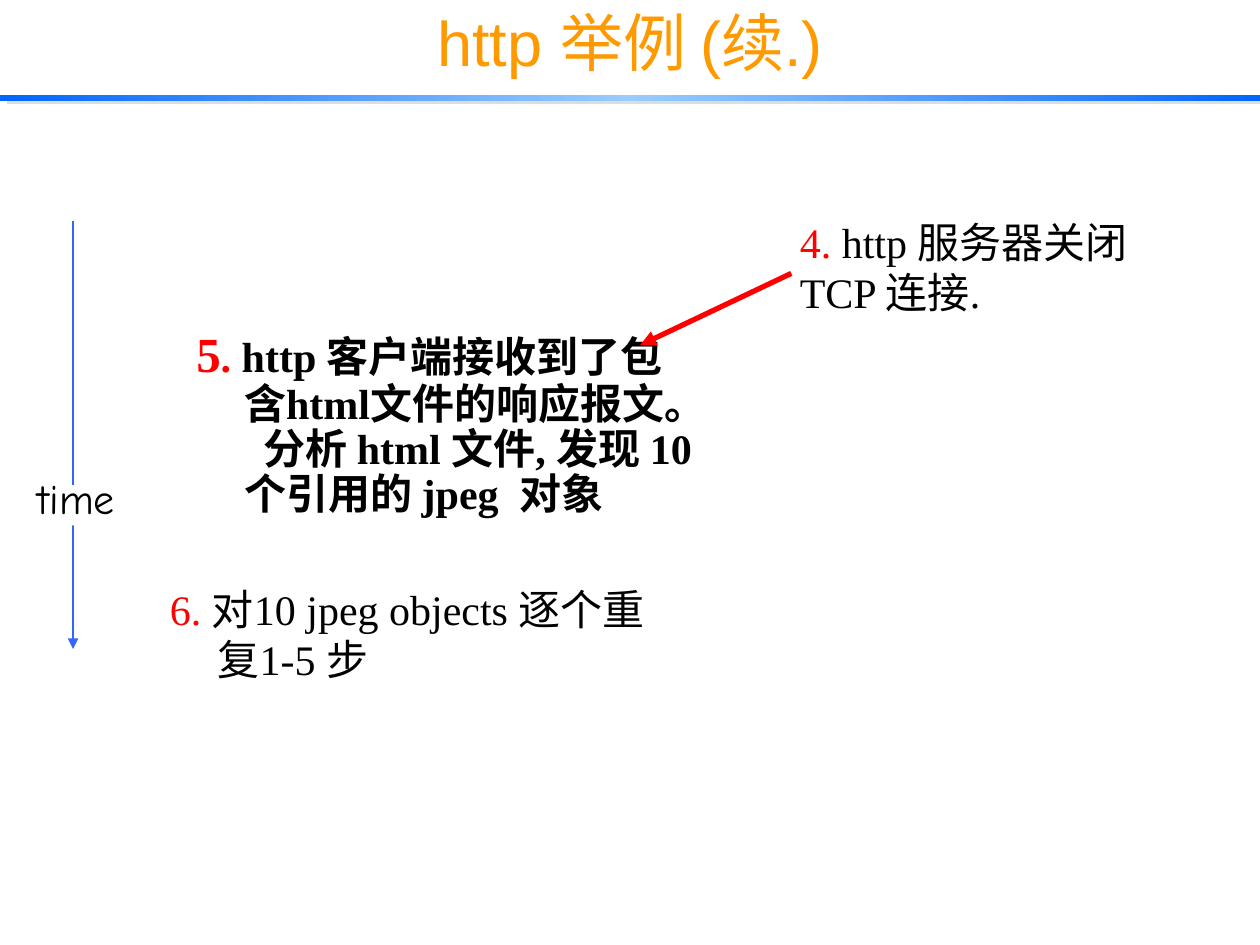
from lxml.etree import SubElement
from pptx import Presentation
from pptx.dml.color import RGBColor
from pptx.enum.shapes import MSO_CONNECTOR, MSO_SHAPE
from pptx.enum.text import MSO_ANCHOR, PP_ALIGN
from pptx.oxml import parse_xml
from pptx.oxml.ns import nsdecls, qn
from pptx.util import Inches, Pt

THEME = {
    "title": "FF9900", "ink": "000000", "accent": "FF0000", "time": "3366FF",
    "paper": "FFFFFF", "rule": ("0066FF", "99CCFF", "0066FF"), "rule_shadow": "DDDDDD",
    "sans": "Arial", "serif": "Times New Roman", "hand": "Comic Neue",
    "title_size": 36, "number_size": 28, "text_size": 24,
}
HANGING = 0.38

RULE = (0, 0.75, 10, 0.05)
TIME_GAP = (0.33, 3.85, 0.38, 0.32)
# start, end, colour, width
TIME_ARROW = ((0.58, 1.75), (0.58, 5.15), "time", 1.5)
REPLY_ARROW = ((6.28, 2.17), (5.08, 2.74), "accent", 3)

# Each paragraph is a list of (text, colour, size) runs.
TITLE = {
    "at": (0.79, 0.01, 8.42, 0.63), "font": "sans", "align": PP_ALIGN.CENTER,
    "anchor": MSO_ANCHOR.MIDDLE, "shadow": True,
    "paragraphs": [[("http 举例 (续.)", "title", "title_size")]],
}
TIME_LABEL = {
    "at": (0.16, 3.7, 0.89, 0.5), "font": "hand", "align": PP_ALIGN.CENTER, "wrap": False,
    "paragraphs": [[("time", "ink", "text_size")]],
}
STEPS = [
    {"at": (1.46, 2.57, 4.17, 1.48), "bold": True, "hanging": HANGING,
     "spacing": {"line_spacing": 0.9, "space_before": Pt(5)},
     "paragraphs": [[
         ("5", "accent", "number_size"), (".", "accent", "text_size"),
         (" http 客户端接收到了包含html文件的响应报文。  分析 html 文件, 发现 10 个引用的 jpeg  对象",
          "ink", "text_size")]]},
    {"at": (1.25, 4.58, 4.17, 0.73), "hanging": HANGING,
     "paragraphs": [[("6. ", "accent", "text_size"),
                     ("对10 jpeg objects 逐个重复1-5 步", "ink", "text_size")]]},
    {"at": (6.25, 1.67, 3.33, 0.8), "hanging": HANGING,
     "paragraphs": [[("4.", "accent", "text_size"), (" http 服务器关闭", "ink", "text_size")],
                    [("TCP 连接.", "ink", "text_size")]]},
]


def color(name):
    return RGBColor.from_string(THEME[name])


def shadow_effect(value, distance, angle):
    """Return an unblurred outer shadow; distance in points, angle in degrees."""
    return parse_xml(
        f'<a:effectLst {nsdecls("a")}><a:outerShdw dist="{Pt(distance)}" '
        f'dir="{angle * 60000}" algn="ctr" rotWithShape="0">'
        f'<a:srgbClr val="{value}"/></a:outerShdw></a:effectLst>')


def add_bar(page, at):
    bar = page.shapes.add_shape(MSO_SHAPE.RECTANGLE, *map(Inches, at))
    bar.shadow.inherit = False
    bar.line.fill.background()
    return bar


def add_rule(page):
    bar = add_bar(page, RULE)
    bar.fill.solid()
    properties = bar._element.spPr
    stops = "".join(f'<a:gs pos="{index * 50000}"><a:srgbClr val="{value}"/></a:gs>'
                    for index, value in enumerate(THEME["rule"]))
    gradient = parse_xml(f'<a:gradFill {nsdecls("a")} rotWithShape="1"><a:gsLst>{stops}</a:gsLst>'
                         '<a:lin ang="0" scaled="1"/></a:gradFill>')
    properties.replace(properties.find(qn("a:solidFill")), gradient)
    properties.replace(properties.find(qn("a:effectLst")),
                       shadow_effect(THEME["rule_shadow"], 4.5, 27))


def add_text(page, item):
    box = page.shapes.add_textbox(*map(Inches, item["at"]))
    frame = box.text_frame
    frame.word_wrap = item.get("wrap", True)
    frame.vertical_anchor = item.get("anchor", MSO_ANCHOR.TOP)
    for index, runs in enumerate(item["paragraphs"]):
        para = frame.add_paragraph() if index else frame.paragraphs[0]
        para.alignment = item.get("align", PP_ALIGN.LEFT)
        for name, value in item.get("spacing", {}).items():
            setattr(para, name, value)
        if "hanging" in item:
            indent = Inches(item["hanging"])
            properties = para._p.get_or_add_pPr()
            properties.set("marL", str(indent))
            properties.set("indent", str(-indent))
        for text, ink, size in runs:
            span = para.add_run()
            span.text = text
            formats = {"name": THEME[item.get("font", "serif")], "size": Pt(THEME[size]),
                       "bold": item.get("bold", False)}
            for name, value in formats.items():
                setattr(span.font, name, value)
            span.font.color.rgb = color(ink)
            if item.get("shadow"):
                fill = span._r.rPr.find(qn("a:solidFill"))
                fill.addnext(shadow_effect(THEME["ink"], 2, 45))


def add_arrow(page, start, end, ink, width):
    arrow = page.shapes.add_connector(MSO_CONNECTOR.STRAIGHT, *map(Inches, start + end))
    arrow.line.color.rgb = color(ink)
    arrow.line.width = Pt(width)
    SubElement(arrow.line._get_or_add_ln(), qn("a:tailEnd"), type="triangle")
    SubElement(arrow._element.spPr, qn("a:effectLst"))


def main():
    deck = Presentation()
    deck.slide_width, deck.slide_height = Inches(10), Inches(7.5)
    page = deck.slides.add_slide(deck.slide_layouts[6])
    add_rule(page)
    for item in [TITLE, *STEPS]:
        add_text(page, item)
    add_arrow(page, *TIME_ARROW)
    gap = add_bar(page, TIME_GAP)
    gap.fill.solid()
    gap.fill.fore_color.rgb = color("paper")
    add_text(page, TIME_LABEL)
    add_arrow(page, *REPLY_ARROW)
    deck.save("out.pptx")


if __name__ == "__main__":
    main()
